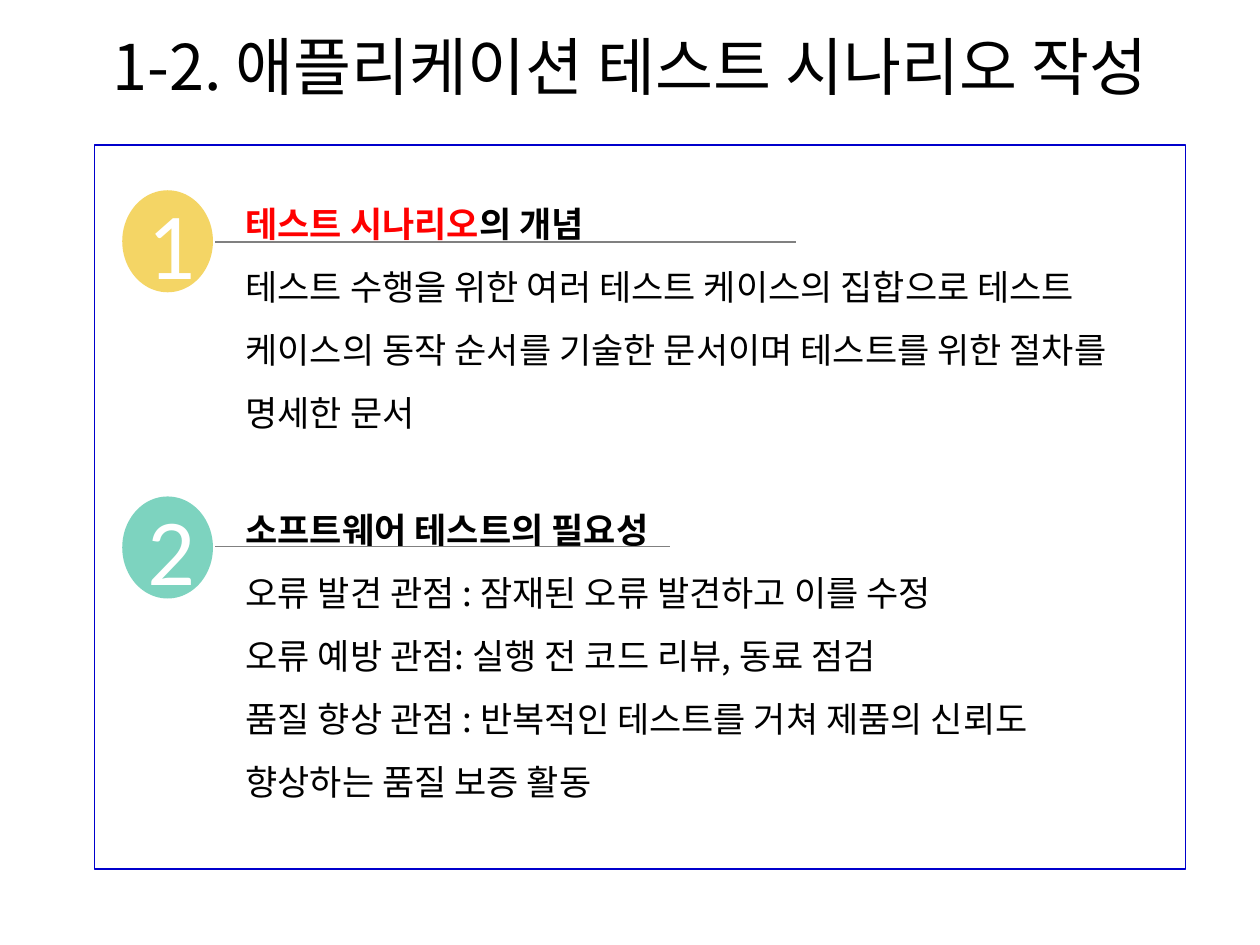
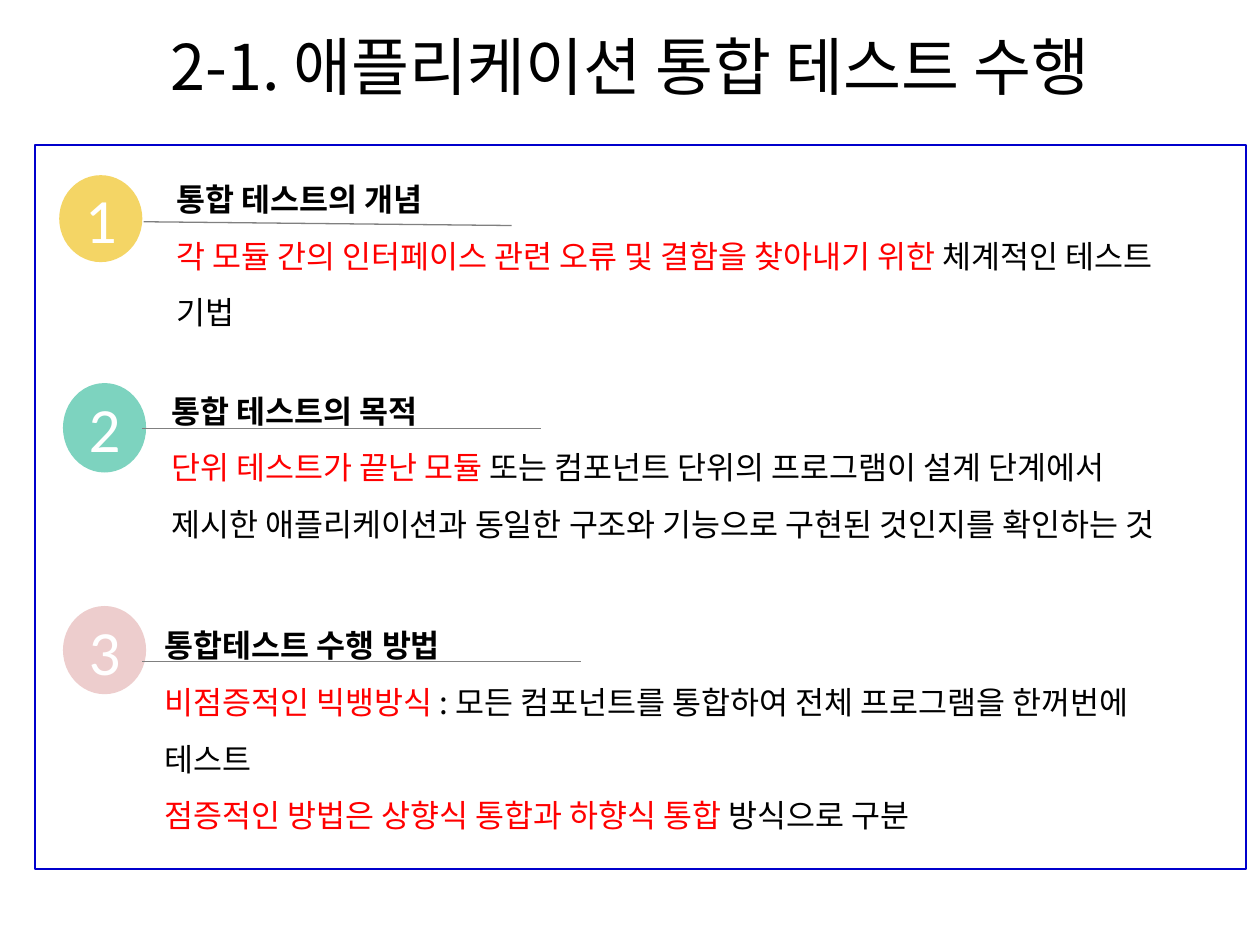
import pptx
import pptx.dml.color
import pptx.enum.shapes
import pptx.enum.text
import pptx.oxml.ns
import pptx.util
from lxml import etree

COLORS = {
    "text": "000000", "key": "FF0000", "number": "FFFFFF",
    "frame": "0000CC", "rule": "808080",
    "yellow": "F0C424", "green": "46C1A4", "pink": "E6B9B8",
}
BODY_FONT, NUMBER_FONT = "Noto Sans CJK KR", "Calibri"
GRID_COLUMNS, GRID_ROWS = 10, 7.5
SLIDE_WIDTH = pptx.util.Inches(10)
UNIT = SLIDE_WIDTH // GRID_COLUMNS
FRAME_TOP, FRAME_HEIGHT = 1.15, 5.75
BADGE_COLORS = ("yellow", "green", "pink")

# Parts of a paragraph between bars are shown in the key colour.
SCENARIO = dict(
    title="1-2. 애플리케이션 테스트 시나리오 작성",
    frame=(0.75, 8.66), number_size=54, text_size=20,
    sections=[
        dict(badge=(0.97, 1.51, 0.72, 0.81), rule=(1.71, 1.92, 6.32, 1.92),
             text=(1.85, 1.39, 7.18, 2.12), lines=[
                 "|테스트 시나리오|의 개념",
                 "테스트 수행을 위한 여러 테스트 케이스의 집합으로 테스트 케이스의 "
                 "동작 순서를 기술한 문서이며 테스트를 위한 절차를 명세한 문서"]),
        dict(badge=(0.97, 3.94, 0.72, 0.81), rule=(1.71, 4.34, 5.32, 4.34),
             text=(1.85, 3.82, 7.18, 2.56), lines=[
                 "소프트웨어 테스트의 필요성",
                 "오류 발견 관점 : 잠재된 오류 발견하고 이를 수정",
                 "오류 예방 관점: 실행 전 코드 리뷰, 동료 점검",
                 "품질 향상 관점 : 반복적인 테스트를 거쳐 제품의 신뢰도 "
                 "향상하는 품질 보증 활동"]),
    ])
INTEGRATION = dict(
    title="2-1. 애플리케이션 통합 테스트 수행",
    frame=(0.28, 9.61), number_size=36, text_size=18,
    sections=[
        dict(badge=(0.47, 1.39, 0.66, 0.69), rule=(1.14, 1.76, 4.06, 1.79),
             text=(1.3, 1.23, 8.15, 1.46), lines=[
                 "통합 테스트의 개념",
                 "|각 모듈 간의 인터페이스 관련 오류 및 결함을 찾아내기 위한|"
                 " 체계적인 테스트 기법"]),
        dict(badge=(0.5, 3.04, 0.66, 0.71), rule=(1.13, 3.4, 4.29, 3.4),
             text=(1.26, 2.91, 8.3, 1.92), lines=[
                 "통합 테스트의 목적",
                 "|단위 테스트가 끝난 모듈 |또는 컴포넌트 단위의 프로그램이 설계 "
                 "단계에서 제시한 애플리케이션과 동일한 구조와 기능으로 구현된 "
                 "것인지를 확인하는 것"]),
        dict(badge=(0.5, 4.81, 0.66, 0.7), rule=(1.13, 5.25, 4.61, 5.25),
             text=(1.21, 4.77, 8.28, 1.92), lines=[
                 "통합테스트 수행 방법",
                 "|비점증적인 빅뱅방식 |: 모든 컴포넌트를 통합하여 전체 프로그램을 "
                 "한꺼번에 테스트",
                 "|점증적인 방법은 상향식 통합과 하향식 통합 |방식으로 구분"]),
    ])


def grid(*cells):
    """Turn grid columns and rows into slide lengths."""
    return [round(cell * UNIT) for cell in cells]


def rgb(name):
    return pptx.dml.color.RGBColor.from_string(COLORS[name])


def style_run(r, size, color="text", font=BODY_FONT, bold=False):
    r.font.size = pptx.util.Pt(size)
    r.font.name = font
    r.font.bold = bold
    r.font.color.rgb = rgb(color)
    latin = r.font._element.find(pptx.oxml.ns.qn("a:latin"))
    ea = etree.Element(pptx.oxml.ns.qn("a:ea"), typeface=font)
    latin.addnext(ea)


def center_text(sp, text, size, **style):
    tf = sp.text_frame
    tf.text = text
    tf.word_wrap = True
    tf.vertical_anchor = pptx.enum.text.MSO_ANCHOR.MIDDLE
    p = tf.paragraphs[0]
    p.alignment = pptx.enum.text.PP_ALIGN.CENTER
    style_run(p.runs[0], size, **style)


def add_title(slide, text):
    sp = slide.shapes.add_textbox(*grid(0.12, 0.05, 9.76, 0.94))
    center_text(sp, text, 36)


def add_frame(slide, left, width):
    sp = slide.shapes.add_shape(
        pptx.enum.shapes.MSO_SHAPE.RECTANGLE,
        *grid(left, FRAME_TOP, width, FRAME_HEIGHT))
    sp.shadow.inherit = False
    sp.fill.background()
    sp.line.color.rgb = rgb("frame")
    sp.line.width = pptx.util.Pt(1)


def add_badge(slide, box, number, color, size):
    sp = slide.shapes.add_shape(pptx.enum.shapes.MSO_SHAPE.OVAL, *grid(*box))
    sp.shadow.inherit = False
    sp.line.fill.background()
    sp.fill.solid()
    sp.fill.fore_color.rgb = rgb(color)
    fill = sp._element.spPr.find(pptx.oxml.ns.qn("a:solidFill"))
    etree.SubElement(fill[0], pptx.oxml.ns.qn("a:alpha"), val="70000")
    center_text(sp, str(number), size, color="number", font=NUMBER_FONT)


def add_rule(slide, ends):
    line = slide.shapes.add_connector(
        pptx.enum.shapes.MSO_CONNECTOR.STRAIGHT, *grid(*ends))
    line.line.color.rgb = rgb("rule")
    line.line.width = pptx.util.Pt(0.75)
    etree.SubElement(line._element.spPr, pptx.oxml.ns.qn("a:effectLst"))


def add_section_text(slide, box, lines, size):
    """Write a bold heading followed by plain paragraphs."""
    tf = slide.shapes.add_textbox(*grid(*box)).text_frame
    tf.word_wrap = True
    tf.auto_size = pptx.enum.text.MSO_AUTO_SIZE.SHAPE_TO_FIT_TEXT
    for i, line in enumerate(lines):
        p = tf.add_paragraph() if i else tf.paragraphs[0]
        p.line_spacing = 1.5
        for j, part in enumerate(line.split("|")):
            if part:
                r = p.add_run()
                r.text = part
                style_run(r, size, "key" if j % 2 else "text", bold=i == 0)


def add_topic_slide(prs, topic):
    slide = prs.slides.add_slide(prs.slide_layouts[6])
    add_title(slide, topic["title"])
    add_frame(slide, *topic["frame"])
    for number, section in enumerate(topic["sections"], 1):
        add_badge(slide, section["badge"], number, BADGE_COLORS[number - 1],
                  topic["number_size"])
        add_section_text(slide, section["text"], section["lines"],
                         topic["text_size"])
        add_rule(slide, section["rule"])


def main():
    prs = pptx.Presentation()
    prs.slide_width = SLIDE_WIDTH
    prs.slide_height = round(GRID_ROWS * UNIT)
    for topic in (SCENARIO, INTEGRATION):
        add_topic_slide(prs, topic)
    prs.save("out.pptx")


if __name__ == "__main__":
    main()
